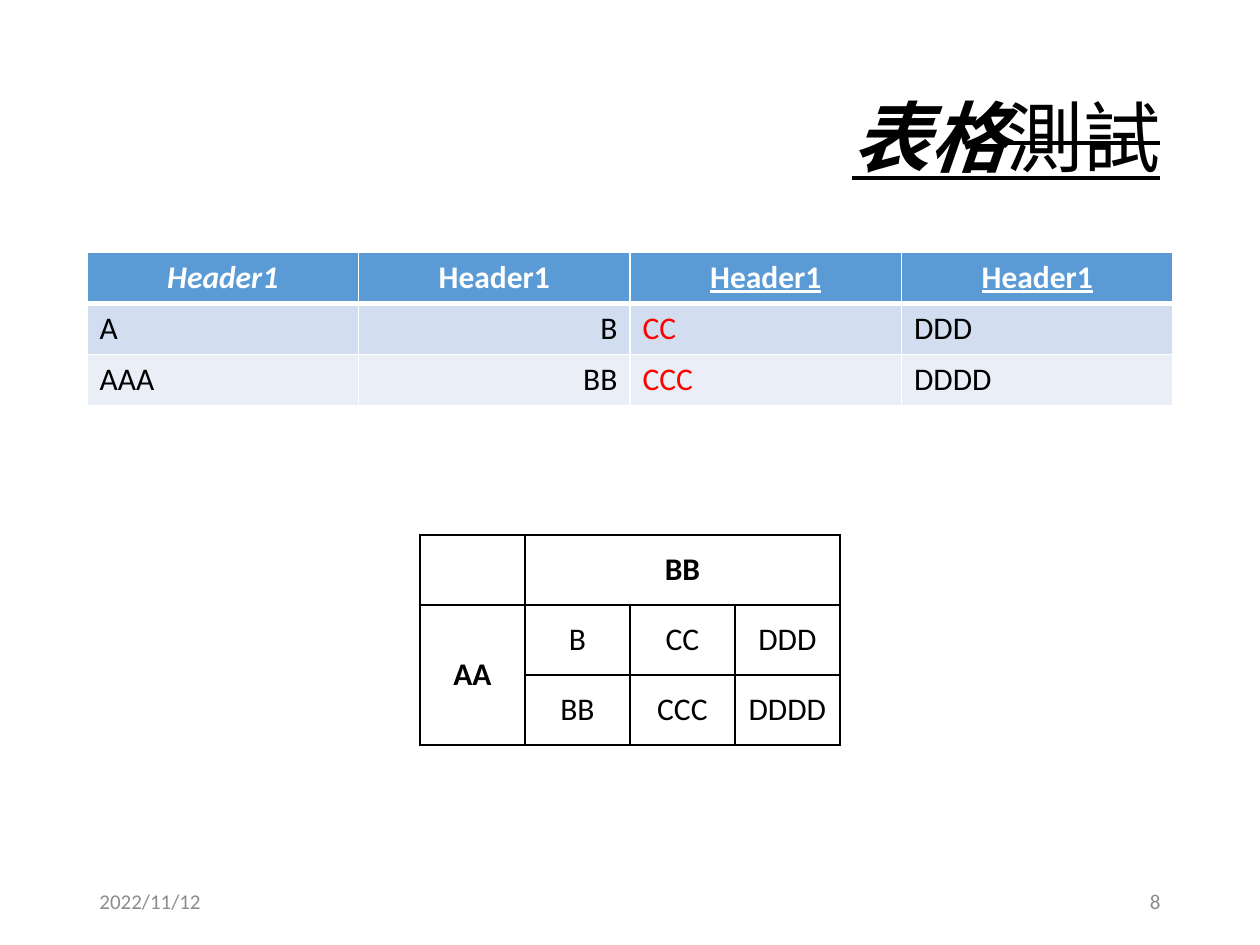
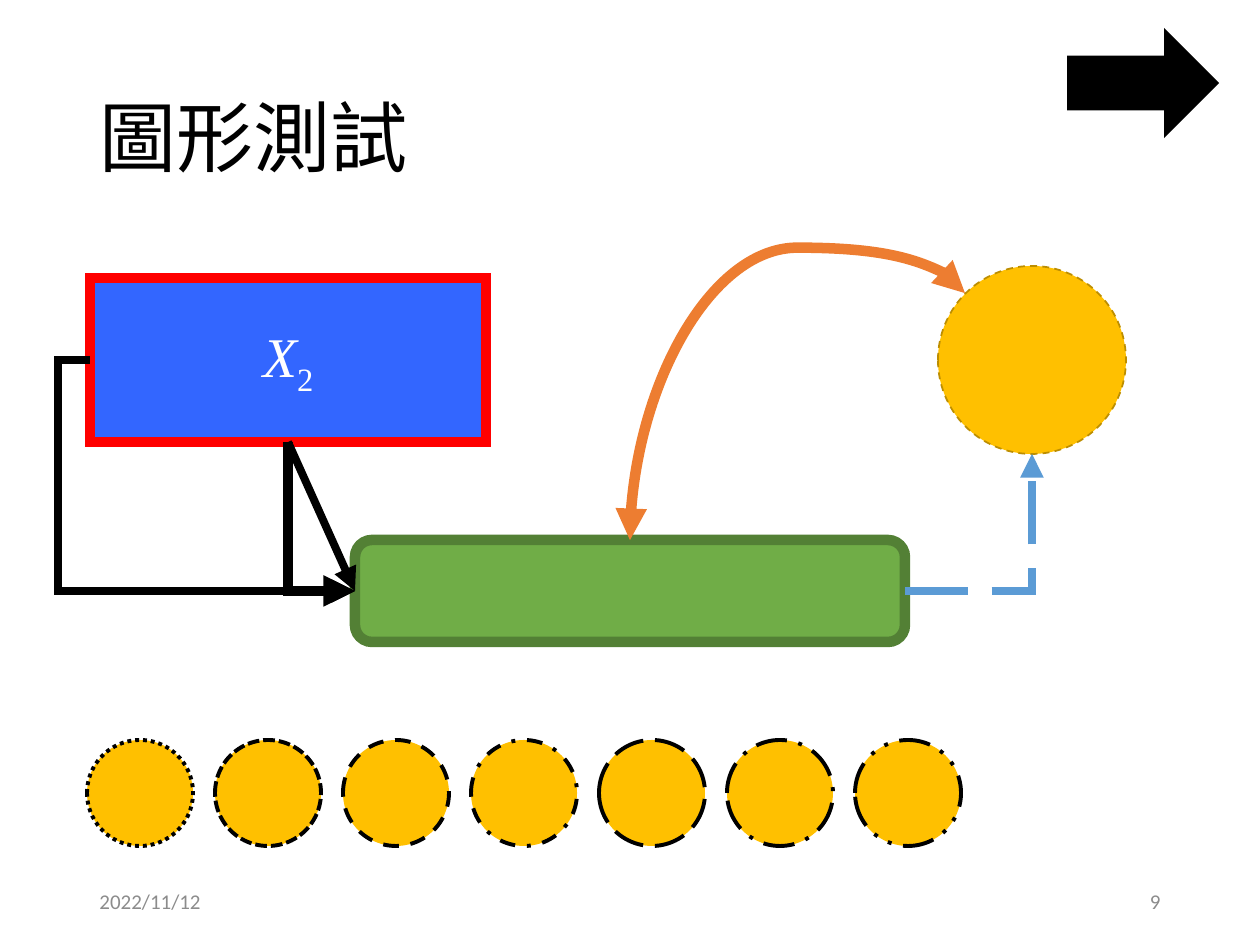
"""Build two slides that test tables and drawn shapes."""
from dataclasses import dataclass
from typing import Optional

from lxml import etree
from pptx import Presentation
from pptx.dml.color import RGBColor
from pptx.enum.dml import MSO_LINE
from pptx.enum.shapes import MSO_CONNECTOR, MSO_SHAPE
from pptx.enum.text import MSO_ANCHOR, PP_ALIGN
from pptx.oxml.ns import qn
from pptx.util import Emu, Pt

LEFT, CENTER, RIGHT = PP_ALIGN.LEFT, PP_ALIGN.CENTER, PP_ALIGN.RIGHT
TOP, MIDDLE = MSO_ANCHOR.TOP, MSO_ANCHOR.MIDDLE
STRAIGHT, ELBOW, CURVE = MSO_CONNECTOR.STRAIGHT, MSO_CONNECTOR.ELBOW, MSO_CONNECTOR.CURVE
RECTANGLE, ROUNDED = MSO_SHAPE.RECTANGLE, MSO_SHAPE.ROUNDED_RECTANGLE
OVAL, RIGHT_ARROW = MSO_SHAPE.OVAL, MSO_SHAPE.RIGHT_ARROW
DASH, LONG_DASH = MSO_LINE.DASH, MSO_LINE.LONG_DASH
RING_DASHES = (MSO_LINE.ROUND_DOT, MSO_LINE.SQUARE_DOT, DASH, MSO_LINE.DASH_DOT,
               LONG_DASH, MSO_LINE.LONG_DASH_DOT, MSO_LINE.DASH_DOT_DOT)

EMU_PER_PX = 914400 / 126
BLACK, WHITE, RED, GRAY = "000000", "FFFFFF", "FF0000", "8C8C8C"
BLUE, ORANGE, GOLD = "5B9BD5", "ED7D31", "FFC000"
BODY_FONT, CJK_FONT, MATH_FONT = "Calibri", "Noto Sans CJK SC", "Times New Roman"
MARGIN, CONTENT_WIDTH = 87, 1086


@dataclass(frozen=True)
class Run:
    """A stretch of text with its own emphasis."""
    text: str
    bold: bool = False
    italic: bool = False
    underline: bool = False
    strike: bool = False
    subscript: bool = False


@dataclass(frozen=True)
class Entry:
    """The content and look of one table cell."""
    run: Run
    align: PP_ALIGN = LEFT
    color: str = BLACK


@dataclass(frozen=True)
class Node:
    """A filled and outlined figure."""
    kind: MSO_SHAPE
    box: tuple[int, int, int, int]
    fill: str
    outline: str
    weight: float
    dash: Optional[MSO_LINE] = None


@dataclass(frozen=True)
class Link:
    """A connector, with ends given before it is rotated."""
    kind: MSO_CONNECTOR
    begin: tuple[int, int]
    end: tuple[int, int]
    color: str
    weight: float
    dash: Optional[MSO_LINE] = None
    preset: Optional[str] = None
    adjust: Optional[int] = None
    rotation: int = 0
    both_ends: bool = False


def px(*lengths: int) -> list[Emu]:
    """Convert pixel lengths to EMU."""
    return [Emu(round(length * EMU_PER_PX)) for length in lengths]


def rgb(color: str) -> RGBColor:
    """Convert a hex string to a colour."""
    return RGBColor.from_string(color)


def write(frame, *runs: Run, size=18, font=BODY_FONT, color=BLACK,
          align=LEFT, anchor=MIDDLE, spacing=1.0) -> None:
    """Write one paragraph of runs into a text frame."""
    frame.word_wrap = True
    frame.vertical_anchor = anchor
    paragraph = frame.paragraphs[0]
    paragraph.alignment = align
    paragraph.line_spacing = spacing
    for part in runs:
        run = paragraph.add_run()
        run.text = part.text
        run.font.size = Pt(size)
        run.font.name = font
        run.font.color.rgb = rgb(color)
        run.font.bold = part.bold
        run.font.italic = part.italic
        run.font.underline = part.underline
        properties = run.font._element
        properties.find(qn("a:latin")).addnext(
            properties.makeelement(qn("a:ea"), {"typeface": CJK_FONT}))
        if part.strike:
            properties.set("strike", "sngStrike")
        if part.subscript:
            properties.set("baseline", "-25000")


def add_label(slide, box: tuple[int, int, int, int], *runs: Run, **style) -> None:
    """Add a text box."""
    write(slide.shapes.add_textbox(*px(*box)).text_frame, *runs, **style)


def add_page(deck, number: int, *title: Run, font=BODY_FONT, align=LEFT):
    """Add a slide with its title, date and number."""
    slide = deck.slides.add_slide(deck.slide_layouts[6])
    add_label(slide, (MARGIN, 50, CONTENT_WIDTH, 183), *title,
              size=44, font=font, align=align, spacing=0.9)
    add_label(slide, (MARGIN, 876, 284, 50), Run("2022/11/12"), size=12, color=GRAY)
    add_label(slide, (889, 876, 284, 50), Run(str(number)),
              size=12, color=GRAY, align=RIGHT)
    return slide


def set_borders(cell, color: str, **weights: float) -> None:
    """Draw the four borders of a cell, 1 point wide unless given by side."""
    properties = cell._tc.get_or_add_tcPr()
    for index, side in enumerate("LRTB"):
        border = properties.makeelement(
            qn(f"a:ln{side}"), {"w": str(int(Pt(weights.get(side, 1))))})
        fill = etree.SubElement(border, qn("a:solidFill"))
        etree.SubElement(fill, qn("a:srgbClr"), val=color)
        properties.insert(index, border)


def add_grid(slide, box: tuple[int, int, int, int], rows: list[list[Optional[Entry]]],
             border: str, fills: Optional[list[str]] = None, anchor=TOP,
             header_rule: float = 1):
    """Add a table with even rows and columns."""
    table = slide.shapes.add_table(len(rows), len(rows[0]), *px(*box)).table
    rule_sides = {0: {"B": header_rule}, 1: {"T": header_rule}}
    for r, entries in enumerate(rows):
        for c, entry in enumerate(entries):
            cell = table.cell(r, c)
            if fills:
                cell.fill.solid()
                cell.fill.fore_color.rgb = rgb(fills[r])
            else:
                cell.fill.background()
            set_borders(cell, border, **rule_sides.get(r, {}))
            if entry:
                write(cell.text_frame, entry.run, color=entry.color, align=entry.align)
                cell.vertical_anchor = anchor
    return table


def style_line(figure, color: str, weight: float, dash: Optional[MSO_LINE]):
    """Style an outline with mitred corners and return its element."""
    figure.line.color.rgb = rgb(color)
    figure.line.width = Pt(weight)
    if dash:
        figure.line.dash_style = dash
    line = figure._element.spPr.find(qn("a:ln"))
    etree.SubElement(line, qn("a:miter"), lim="800000")
    return line


def add_node(slide, node: Node):
    """Draw a figure."""
    figure = slide.shapes.add_shape(node.kind, *px(*node.box))
    figure.shadow.inherit = False
    figure.fill.solid()
    figure.fill.fore_color.rgb = rgb(node.fill)
    style_line(figure, node.outline, node.weight, node.dash)
    return figure


def add_link(slide, link: Link) -> None:
    """Draw a connector with arrowheads."""
    connector = slide.shapes.add_connector(link.kind, *px(*link.begin, *link.end))
    line = style_line(connector, link.color, link.weight, link.dash)
    ends = ("headEnd", "tailEnd") if link.both_ends else ("tailEnd",)
    for end in ends:
        etree.SubElement(line, qn(f"a:{end}"), type="triangle")
    properties = connector._element.spPr
    etree.SubElement(properties, qn("a:effectLst"))
    geometry = properties.find(qn("a:prstGeom"))
    if link.preset:
        geometry.set("prst", link.preset)
    if link.adjust is not None:
        guides = geometry.find(qn("a:avLst"))
        etree.SubElement(guides, qn("a:gd"), name="adj1", fmla=f"val {link.adjust}")
    if link.rotation:
        properties.find(qn("a:xfrm")).set("rot", str(link.rotation * 60000))


def build_table_page(deck) -> None:
    """Build the page of tables."""
    slide = add_page(deck, 8, Run("表格", bold=True, italic=True, underline=True),
                     Run("測試", underline=True, strike=True),
                     font=CJK_FONT, align=RIGHT)
    headers = [Entry(Run("Header1", bold=True, italic=i == 0, underline=i > 1), CENTER, WHITE)
               for i in range(4)]
    columns = ((LEFT, BLACK), (RIGHT, BLACK), (LEFT, RED), (LEFT, BLACK))
    body = [[Entry(Run(word), *look) for word, look in zip(words, columns)]
            for words in (("A", "B", "CC", "DDD"), ("AAA", "BB", "CCC", "DDDD"))]
    add_grid(slide, (MARGIN, 252, CONTENT_WIDTH, 154), [headers, *body], WHITE,
             fills=[BLUE, "D2DEEF", "EAEFF7"], header_rule=3)

    words = (("", "BB", "", ""), ("AA", "B", "CC", "DDD"), ("", "BB", "CCC", "DDDD"))
    spanning = {(0, 1), (1, 0)}
    merged_rows = [[Entry(Run(word, bold=(r, c) in spanning), CENTER) if word else None
                    for c, word in enumerate(row)] for r, row in enumerate(words)]
    merged = add_grid(slide, (420, 535, 420, 210), merged_rows, BLACK, anchor=MIDDLE)
    merged.cell(0, 1).merge(merged.cell(0, 3))
    merged.cell(1, 0).merge(merged.cell(2, 0))


def build_shape_page(deck) -> None:
    """Build the page of figures and connectors."""
    slide = add_page(deck, 9, Run("圖形測試"))
    variable = add_node(slide, Node(RECTANGLE, (90, 278, 396, 164), "3366FF", RED, 6))
    write(variable.text_frame, Run("X", italic=True), Run("2", subscript=True),
          size=32, font=MATH_FONT, color=WHITE, align=CENTER)
    for node in (
        Node(OVAL, (938, 266, 188, 188), GOLD, "BD8E00", 1, DASH),
        Node(ROUNDED, (355, 540, 550, 102), "70AD47", "538035", 6),
        Node(RIGHT_ARROW, (1068, 30, 150, 106), BLACK, BLACK, 1),
        *(Node(OVAL, (MARGIN + 128 * i, 740, 106, 106), GOLD, BLACK, 2.25, dash)
          for i, dash in enumerate(RING_DASHES)),
    ):
        add_node(slide, node)
    for link in (
        Link(STRAIGHT, (288, 442), (355, 591), BLACK, 4.5),
        Link(ELBOW, (905, 591), (1032, 454), BLUE, 4.5, LONG_DASH, "bentConnector2"),
        Link(CURVE, (921, 584), (674, 249), ORANGE, 6, adjust=-18400,
             rotation=270, both_ends=True),
        Link(ELBOW, (355, 591), (90, 360), BLACK, 4.5, adjust=-11900, rotation=180),
        Link(ELBOW, (396, 483), (247, 550), BLACK, 6, preset="bentConnector2", rotation=270),
    ):
        add_link(slide, link)


def main() -> None:
    """Build and save the deck."""
    deck = Presentation()
    deck.slide_width, deck.slide_height = px(1260, 945)
    build_table_page(deck)
    build_shape_page(deck)
    deck.save("out.pptx")


if __name__ == "__main__":
    main()
